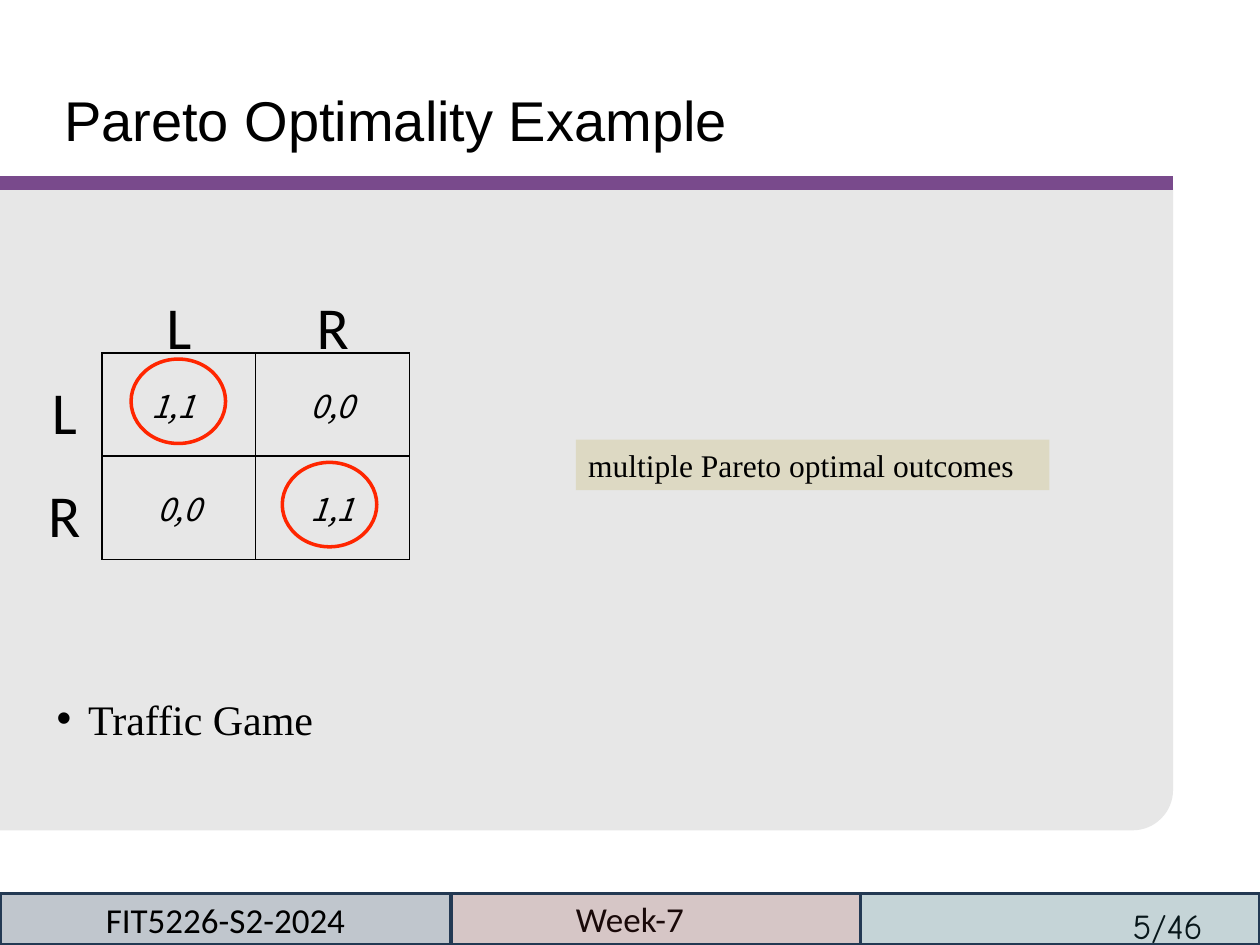
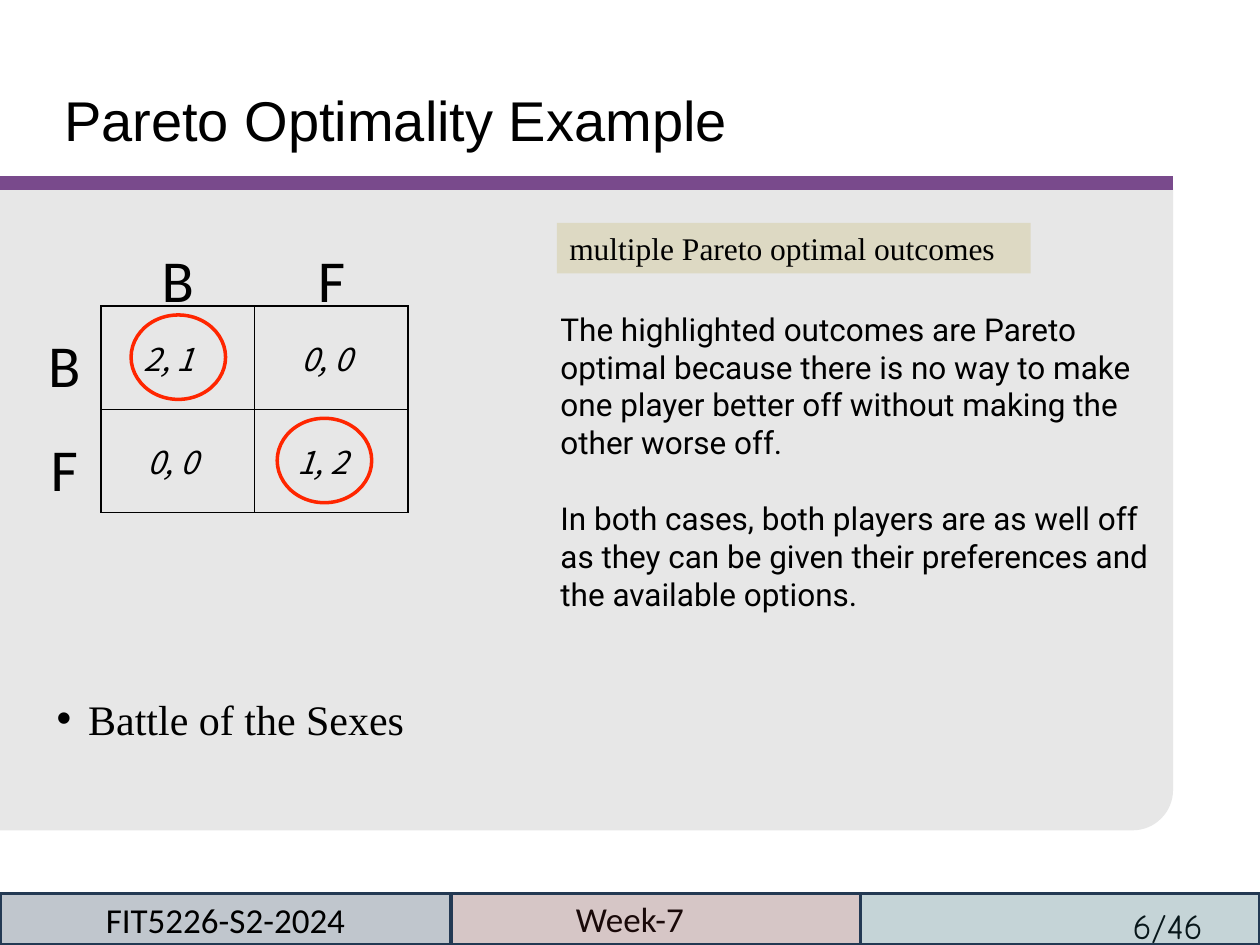
"""Build two slides on Pareto optimality with payoff tables."""
from math import cos, pi, sin

from lxml.etree import SubElement
from pptx import Presentation
from pptx.dml.color import RGBColor
from pptx.enum.shapes import MSO_CONNECTOR, MSO_SHAPE
from pptx.enum.text import MSO_ANCHOR, MSO_AUTO_SIZE, PP_ALIGN
from pptx.oxml import parse_xml
from pptx.oxml.ns import nsdecls, qn
from pptx.util import Inches, Pt

COLOURS = {
    "text": "000000", "panel": "E7E7E7", "rule": "794A8C", "ring": "FF2600",
    "callout": "DDD9C3", "footer_line": "233953", "border": "000000",
    "course": "0F243E", "week": "632523", "page": "215968",
}
TITLE = "Pareto Optimality Example"
CALLOUT = "multiple Pareto optimal outcomes"
COURSE, WEEK, PAGE_COUNT = "FIT5226-S2-2024", "Week-7", 46
FOOTER_BANDS = [("course", 0, 3.58, COURSE), ("week", 3.58, 3.25, ""), ("page", 6.83, 3.17, "")]
PANEL_RIGHT, PANEL_TOP, PANEL_BOTTOM, CORNER = 9.31, 1.49, 6.59, 0.32
CELL_WIDTH, CELL_HEIGHT = 1.22, 0.82
GAMES = [
    {
        "page": 5, "name": "Traffic Game", "strategies": ["L", "R"],
        "table": (0.81, 2.8), "callout": (4.57, 3.49),
        "payoffs": [[("1,1", 0.39), ("0,0", None)], [("0,0", None), ("1,1", None)]],
        "rings": [(1.04, 2.85), (2.24, 3.67)],
        "explanation": [],
    },
    {
        "page": 6, "name": "Battle of the Sexes", "strategies": ["B", "F"],
        "table": (0.8, 2.43), "callout": (4.42, 1.77),
        "payoffs": [[("2, 1", 0.34), ("0, 0", 0.37)], [("0, 0", 0.37), ("1, 2", 0.34)]],
        "rings": [(1.04, 2.5), (2.2, 3.32)],
        "explanation": [
            "The highlighted outcomes are Pareto optimal because there is no way to make "
            "one player better off without making the other worse off.",
            "In both cases, both players are as well off as they can be given their "
            "preferences and the available options.",
        ],
    },
]


def colour(name):
    return RGBColor.from_string(COLOURS[name])


def write(frame, texts, font, size, align=PP_ALIGN.LEFT, anchor=MSO_ANCHOR.TOP,
          margins=(0, 0), italic=False, gap=0, line_spacing=None):
    frame.word_wrap = True
    frame.auto_size = MSO_AUTO_SIZE.NONE
    frame.vertical_anchor = anchor
    frame.margin_left = frame.margin_right = Inches(margins[0])
    frame.margin_top = frame.margin_bottom = Inches(margins[1])
    write_paragraphs(frame, texts, font, size, align, italic, gap, line_spacing)


def write_paragraphs(frame, texts, font, size, align, italic=False, gap=0, line_spacing=None):
    for index, text in enumerate(texts):
        paragraph = frame.add_paragraph() if index else frame.paragraphs[0]
        paragraph.alignment = align
        paragraph.space_before = Pt(gap if index else 0)
        if line_spacing:
            paragraph.line_spacing = line_spacing
        run = paragraph.add_run()
        run.text = text
        run.font.name, run.font.size, run.font.italic = font, Pt(size), italic
        run.font.color.rgb = colour("text")


def place(shape, left, top, width, height):
    shape.left, shape.top = Inches(left), Inches(top)
    shape.width, shape.height = Inches(width), Inches(height)


def add_text(slide, box, texts, font, size, **options):
    shape = slide.shapes.add_textbox(*map(Inches, box))
    write(shape.text_frame, texts, font, size, **options)


def add_filled(slide, box, fill, line=None, alpha=None):
    shape = slide.shapes.add_shape(MSO_SHAPE.RECTANGLE, *map(Inches, box))
    shape.shadow.inherit = False
    shape.fill.solid()
    shape.fill.fore_color.rgb = colour(fill)
    if alpha:
        tint = shape.fill._xPr.find(".//" + qn("a:srgbClr"))
        SubElement(tint, qn("a:alpha")).set("val", str(alpha * 1000))
    if line:
        shape.line.color.rgb = colour(line)
        shape.line.width = Pt(2)
    else:
        shape.line.fill.background()
    return shape


def add_panel(slide):
    steps = 16
    angles = [step * pi / 2 / steps for step in range(steps + 1)]
    arc = [(PANEL_RIGHT - CORNER + CORNER * cos(angle),
            PANEL_BOTTOM - CORNER + CORNER * sin(angle)) for angle in angles]
    outline = [(PANEL_RIGHT, PANEL_TOP), *arc, (0, PANEL_BOTTOM)]
    builder = slide.shapes.build_freeform(0, Inches(PANEL_TOP))
    builder.add_line_segments([(Inches(x), Inches(y)) for x, y in outline])
    panel = builder.convert_to_shape()
    panel.shadow.inherit = False
    panel.fill.solid()
    panel.fill.fore_color.rgb = colour("panel")
    panel.line.fill.background()
    rule = slide.shapes.add_connector(
        MSO_CONNECTOR.STRAIGHT, 0, Inches(1.45), Inches(PANEL_RIGHT), Inches(1.45))
    rule.line.color.rgb = colour("rule")
    rule.line.width = Pt(8)
    SubElement(rule._element.spPr, qn("a:effectLst"))


def add_footer(slide, page):
    add_text(slide, (8.89, 7.13, 1.1, 0.37), [f"{page}/{PAGE_COUNT}"], "Comic Neue", 20,
             margins=(0.1, 0.05))
    add_text(slide, (3.4, 7.12, 3.2, 0.34), [WEEK], "Calibri", 20, align=PP_ALIGN.CENTER)
    for fill, left, width, text in FOOTER_BANDS:
        band = add_filled(slide, (left, 7.09, width, 0.41), fill, "footer_line", 26)
        if text:
            write(band.text_frame, [text], "Calibri", 20, align=PP_ALIGN.CENTER,
                  anchor=MSO_ANCHOR.MIDDLE, margins=(0.1, 0.05))


def fill_placeholders(slide, name):
    title, body = slide.shapes.title, slide.placeholders[1]
    place(title, 0.51, 0.68, 8.98, 0.47)
    write(title.text_frame, [TITLE], "Arial", 32)
    place(body, 0.44, 5.5, 2.79, 0.36)
    properties = body.text_frame.paragraphs[0]._p.get_or_add_pPr()
    properties.set("marL", str(Inches(0.26)))
    properties.set("indent", str(Inches(-0.25)))
    SubElement(properties, qn("a:buChar")).set("char", "•")
    write(body.text_frame, [name], "Times New Roman", 24)


def border_cell(cell):
    properties = cell._tc.get_or_add_tcPr()
    for index, side in enumerate(("lnL", "lnR", "lnT", "lnB")):
        properties.insert(index, parse_xml(
            f'<a:{side} {nsdecls("a")} w="{Pt(1)}"><a:solidFill>'
            f'<a:srgbClr val="{COLOURS["border"]}"/></a:solidFill></a:{side}>'))


def add_payoffs(slide, game):
    left, top = game["table"]
    strategies = game["strategies"]
    count = len(strategies)
    for index, strategy in enumerate(strategies):
        centre = left + (index + 0.5) * CELL_WIDTH
        add_text(slide, (centre - 0.14, top - 0.5, 0.28, 0.5), [strategy], "Calibri", 34,
                 align=PP_ALIGN.CENTER)
    add_text(slide, (0.37, top - 0.08, 0.28, 1.67), strategies, "Calibri", 34,
             align=PP_ALIGN.CENTER, line_spacing=1.45)
    frame = slide.shapes.add_table(count, count, Inches(left), Inches(top),
                                   Inches(count * CELL_WIDTH), Inches(count * CELL_HEIGHT))
    table = frame.table
    table.first_row = table.horz_banding = False
    for row_index, row in enumerate(game["payoffs"]):
        for column_index, (text, indent) in enumerate(row):
            cell = table.cell(row_index, column_index)
            cell.fill.solid()
            cell.fill.fore_color.rgb = colour("panel")
            cell.vertical_anchor = MSO_ANCHOR.MIDDLE
            cell.margin_left = Inches(indent or 0)
            cell.margin_right = cell.margin_top = cell.margin_bottom = 0
            align = PP_ALIGN.LEFT if indent else PP_ALIGN.CENTER
            write_paragraphs(cell.text_frame, [text], "Noto Sans CJK JP", 18, align, italic=True)
            border_cell(cell)
    for ring_left, ring_top in game["rings"]:
        ring = slide.shapes.add_shape(MSO_SHAPE.OVAL, Inches(ring_left), Inches(ring_top),
                                      Inches(0.75), Inches(0.67))
        ring.shadow.inherit = False
        ring.fill.background()
        ring.line.color.rgb = colour("ring")
        ring.line.width = Pt(2)


def add_game_slide(presentation, game):
    slide = presentation.slides.add_slide(presentation.slide_layouts[1])
    add_panel(slide)
    tree = slide.shapes._spTree
    for placeholder in list(slide.placeholders):
        tree.append(placeholder._element)
    fill_placeholders(slide, game["name"])
    add_payoffs(slide, game)
    add_footer(slide, game["page"])
    if game["explanation"]:
        add_text(slide, (4.35, 2.41, 5.06, 2.45), game["explanation"], "Roboto", 18,
                 margins=(0.1, 0.05), gap=21.7)
    callout = add_filled(slide, (*game["callout"], 3.76, 0.4), "callout")
    write(callout.text_frame, [CALLOUT], "Times New Roman", 18,
          anchor=MSO_ANCHOR.MIDDLE, margins=(0.1, 0.05))


def main():
    presentation = Presentation()
    presentation.slide_width, presentation.slide_height = Inches(10), Inches(7.5)
    for game in GAMES:
        add_game_slide(presentation, game)
    presentation.save("out.pptx")


if __name__ == "__main__":
    main()
